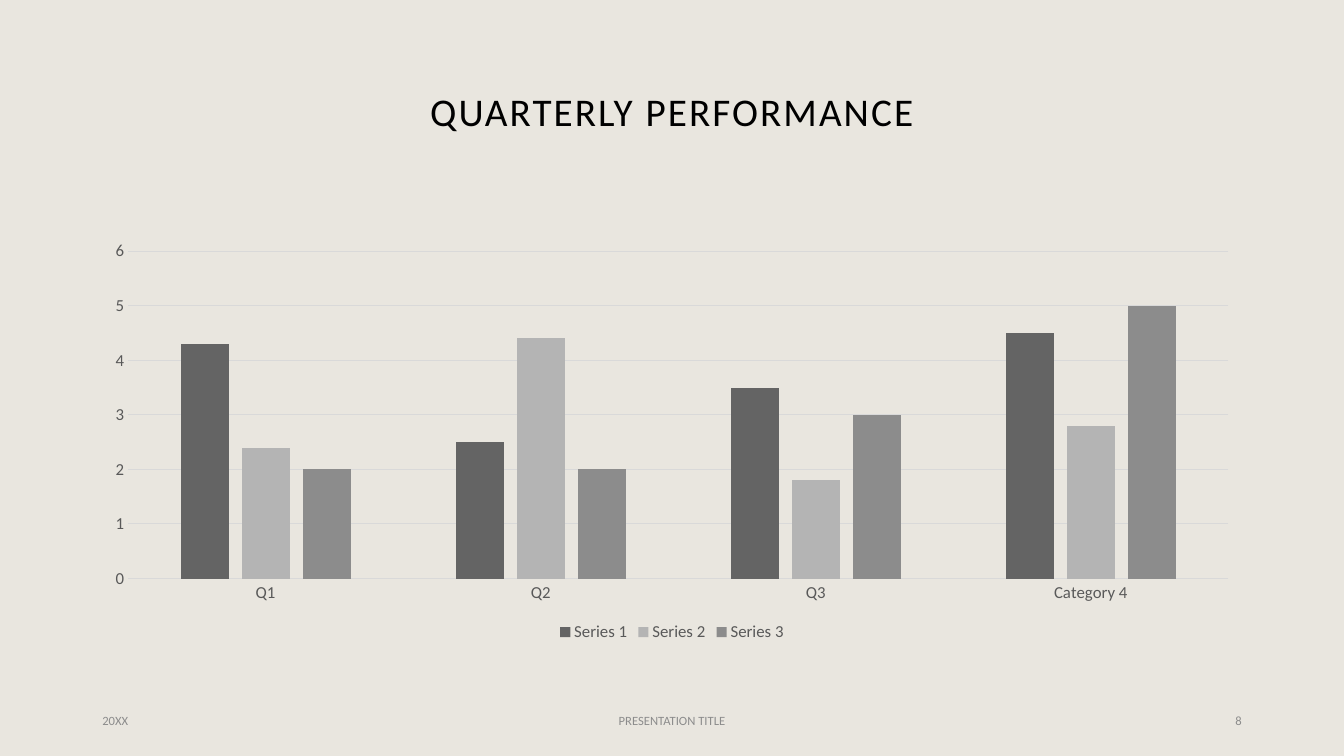
"""Build the quarterly performance slide with a clustered column chart."""
from pptx import Presentation
from pptx.chart.data import CategoryChartData
from pptx.dml.color import RGBColor
from pptx.enum.chart import XL_CHART_TYPE as ChartType
from pptx.enum.chart import XL_LEGEND_POSITION as LegendPosition
from pptx.enum.chart import XL_TICK_MARK as TickMark
from pptx.enum.text import MSO_ANCHOR as Anchor
from pptx.enum.text import PP_ALIGN as Align
from pptx.util import Pt

TITLE = "QUARTERLY PERFORMANCE"
CATEGORIES = ["Q1", "Q2", "Q3", "Category 4"]
SERIES = [
    ("Series 1", (4.3, 2.5, 3.5, 4.5), "dark"),
    ("Series 2", (2.4, 4.4, 1.8, 2.8), "light"),
    ("Series 3", (2, 2, 3, 5), "mid"),
]
FOOTERS = [
    ("20XX", 216, Align.LEFT),
    ("PRESENTATION TITLE", 324, Align.CENTER),
    ("8", 216, Align.RIGHT),
]
COLORS = {
    "background": "E9E6DF",
    "title": "000000",
    "axis": "595959",
    "grid": "D9D9D9",
    "dark": "646464",
    "light": "B4B4B4",
    "mid": "8C8C8C",
}
FONT = "Calibri"
SLIDE_WIDTH, SLIDE_HEIGHT = 960, 540
MARGIN = 66
CONTENT_WIDTH = SLIDE_WIDTH - 2 * MARGIN


def color(name):
    return RGBColor.from_string(COLORS[name])


def style_font(font, size, name):
    font.name = FONT
    font.size = Pt(size)
    font.color.rgb = color(name)


def style_line(line, name):
    line.color.rgb = color(name)
    line.width = Pt(0.75)


def write(box, text, size, name, align):
    frame = box.text_frame
    frame.word_wrap = True
    frame.vertical_anchor = Anchor.MIDDLE
    para = frame.paragraphs[0]
    para.alignment = align
    span = para.add_run()
    span.text = text
    style_font(span.font, size, name)
    return para, span


def add_title(page):
    box = page.shapes.title
    box.left, box.top = Pt(MARGIN), Pt(28.8)
    box.width, box.height = Pt(CONTENT_WIDTH), Pt(104.4)
    para, span = write(box, TITLE, 28, "title", Align.CENTER)
    para.line_spacing = 0.9
    span.font._element.set("spc", "150")


def add_footers(page):
    gap = (CONTENT_WIDTH - sum(width for _, width, _ in FOOTERS)) / 2
    left = MARGIN
    for text, width, align in FOOTERS:
        box = page.shapes.add_textbox(Pt(left), Pt(500.5), Pt(width), Pt(28.75))
        write(box, text, 9, "mid", align)
        left += width + gap


def add_performance_chart(page):
    data = CategoryChartData()
    data.categories = CATEGORIES
    for name, values, _ in SERIES:
        data.add_series(name, values)
    frame = page.shapes.add_chart(
        ChartType.COLUMN_CLUSTERED, Pt(MARGIN), Pt(166.3), Pt(CONTENT_WIDTH), Pt(295.2), data
    )
    chart = frame.chart
    chart.has_title = False
    style_font(chart.font, 10, "title")

    plot = chart.plots[0]
    plot.gap_width, plot.overlap = 219, -27
    plot.vary_by_categories = False
    for series, (_, _, name) in zip(plot.series, SERIES):
        series.format.fill.solid()
        series.format.fill.fore_color.rgb = color(name)
        series.invert_if_negative = False

    for axis in (chart.category_axis, chart.value_axis):
        axis.major_tick_mark = axis.minor_tick_mark = TickMark.NONE
        style_font(axis.tick_labels.font, 12, "axis")
    style_line(chart.category_axis.format.line, "grid")
    values_axis = chart.value_axis
    values_axis.format.line.fill.background()
    values_axis.minimum_scale, values_axis.maximum_scale = 0, 6
    values_axis.major_unit = 1
    style_line(values_axis.major_gridlines.format.line, "grid")

    chart.has_legend = True
    chart.legend.position = LegendPosition.BOTTOM
    chart.legend.include_in_layout = False
    style_font(chart.legend.font, 12, "axis")


def main():
    deck = Presentation()
    deck.slide_width, deck.slide_height = Pt(SLIDE_WIDTH), Pt(SLIDE_HEIGHT)
    page = deck.slides.add_slide(deck.slide_layouts[5])
    page.background.fill.solid()
    page.background.fill.fore_color.rgb = color("background")
    add_title(page)
    add_footers(page)
    add_performance_chart(page)
    deck.save("out.pptx")


if __name__ == "__main__":
    main()
